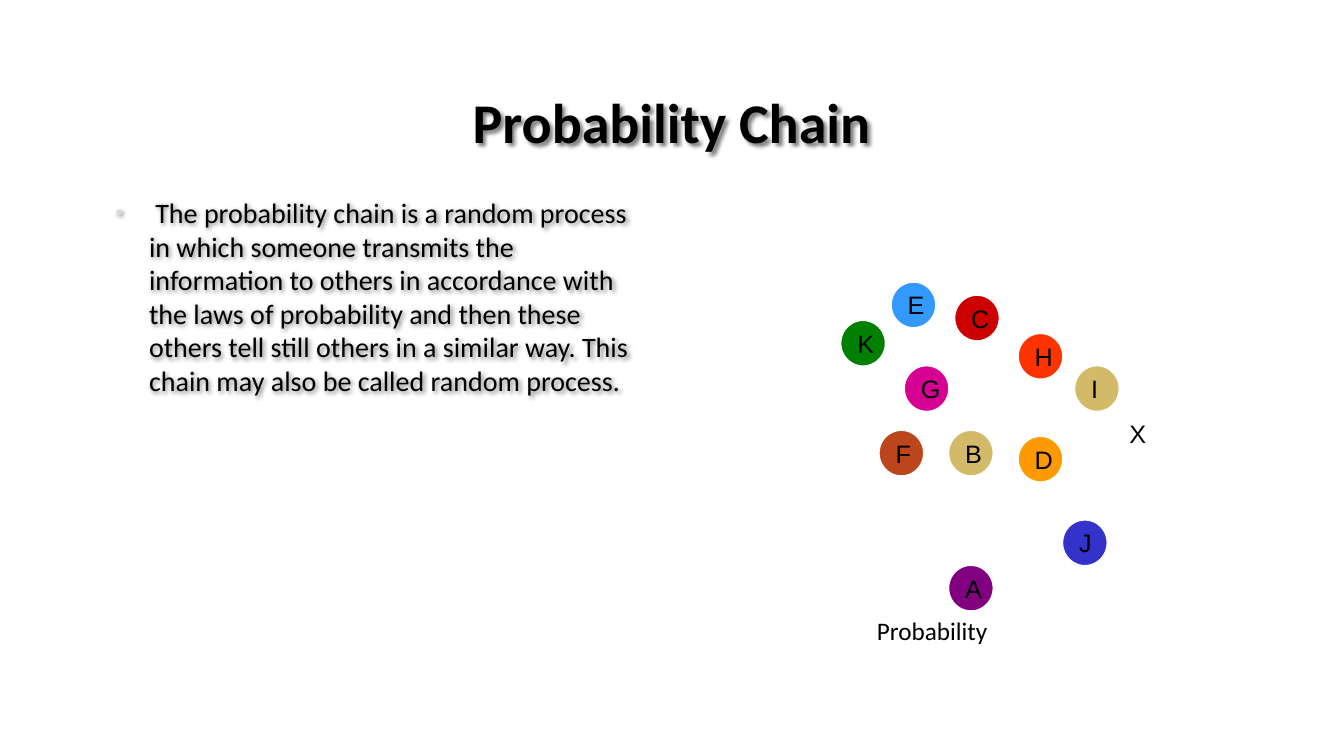
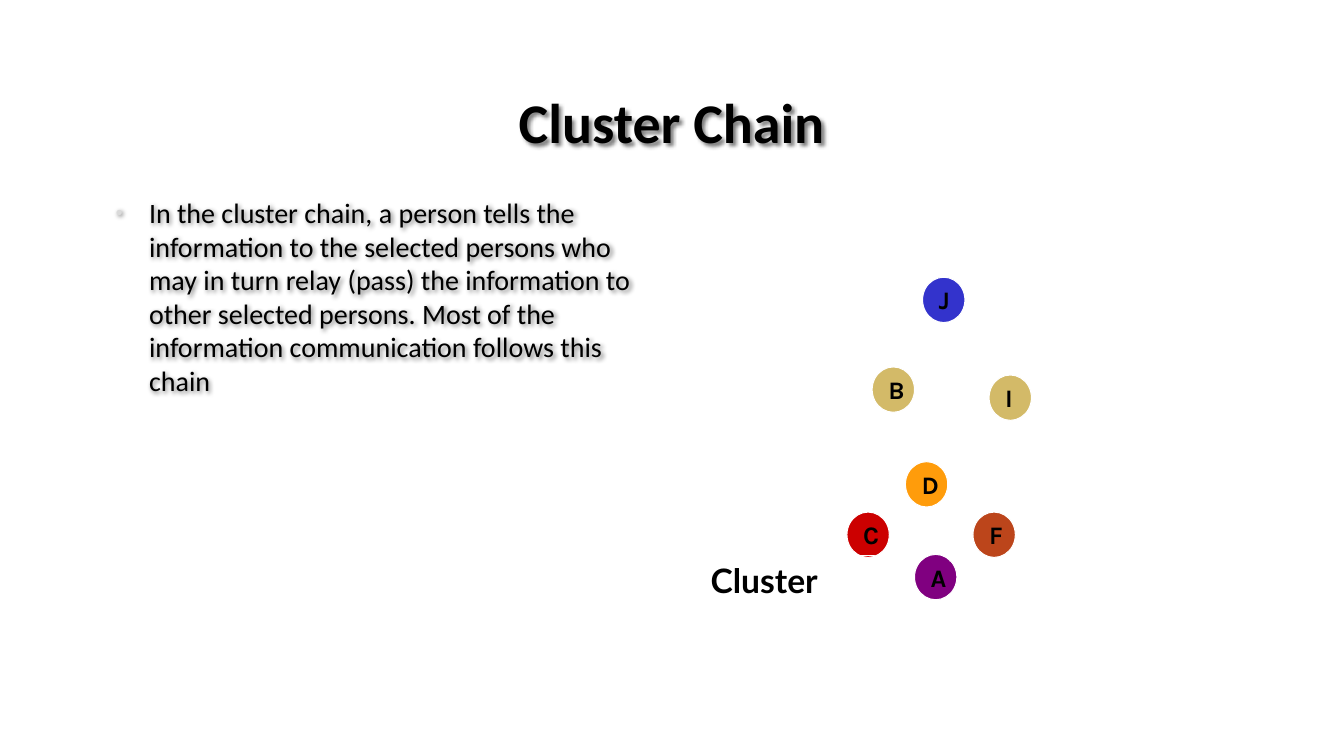
from lxml import etree
from pptx import Presentation
from pptx.dml.color import RGBColor
from pptx.enum.shapes import MSO_CONNECTOR, MSO_SHAPE
from pptx.enum.text import MSO_ANCHOR, PP_ALIGN
from pptx.oxml import parse_xml
from pptx.oxml.ns import nsdecls, qn
from pptx.util import Inches, Pt

OVAL = MSO_SHAPE.OVAL
STRAIGHT = MSO_CONNECTOR.STRAIGHT
MIDDLE, TOP = MSO_ANCHOR.MIDDLE, MSO_ANCHOR.TOP
LEFT, CENTER = PP_ALIGN.LEFT, PP_ALIGN.CENTER

BLACK = RGBColor(0x00, 0x00, 0x00)
WHITE = RGBColor(0xFF, 0xFF, 0xFF)
PURPLE = RGBColor(0x80, 0x00, 0x80)
RUST = RGBColor(0xBC, 0x45, 0x1B)
SAND = RGBColor(0xD3, 0xBA, 0x68)
ORANGE = RGBColor(0xFF, 0x99, 0x00)
AMBER = RGBColor(0xFF, 0x9C, 0x0B)
INDIGO = RGBColor(0x33, 0x33, 0xCC)
SCARLET = RGBColor(0xFF, 0x33, 0x00)
RED = RGBColor(0xCC, 0x00, 0x00)
BLUE = RGBColor(0x33, 0x99, 0xFF)
GREEN = RGBColor(0x00, 0x80, 0x00)
MAGENTA = RGBColor(0xD6, 0x00, 0x93)

TITLE_FONT = {"name": "Calibri", "size": Pt(40), "bold": True}
BODY_FONT = {"name": "Calibri", "size": Pt(20), "bold": False}
LINE_WIDTH = Pt(0.75)
NODE_HEIGHT = 0.45

TEXT_SHADOW = (
    f'<a:effectLst {nsdecls("a")}><a:outerShdw blurRad="38100" dist="25400" dir="2700000">'
    '<a:srgbClr val="000000"><a:alpha val="50000"/></a:srgbClr></a:outerShdw></a:effectLst>'
)
BULLET = (
    ("a:buClr", '<a:srgbClr val="DADADA"/>', ""),
    ("a:buSzPct", "", 'val="70000"'),
    ("a:buFont", "", 'typeface="Arial"'),
    ("a:buChar", "", 'char="•"'),
)

SLIDES = [
    {
        "title": "Probability Chain",
        "body": " The probability chain is a random process in which someone transmits the "
                "information to others in accordance with the laws of probability and then these "
                "others tell still others in a similar way. This chain may also be called random process.",
        "node_width": 0.44,
        "node_font": {"name": "Arial", "size": Pt(18), "bold": False},
        "nodes": [
            ("A", 9.41, 5.61, PURPLE), ("F", 8.72, 4.27, RUST), ("B", 9.41, 4.27, SAND),
            ("D", 10.1, 4.33, ORANGE), ("J", 10.54, 5.16, INDIGO), ("H", 10.1, 3.31, SCARLET),
            ("C", 9.47, 2.93, RED), ("E", 8.84, 2.8, BLUE), ("K", 8.34, 3.18, GREEN),
            ("G", 8.97, 3.63, MAGENTA), ("I", 10.66, 3.63, SAND), ("X", 11.04, 4.08, None),
        ],
        "arrows": [
            (9.47, 5.68, 8.94, 4.72), (9.78, 5.68, 10.32, 4.78), (8.94, 4.27, 9.19, 4.08),
            (8.78, 4.34, 8.56, 3.63), (10.32, 4.33, 10.32, 3.76), (10.54, 4.56, 11.04, 4.3),
        ],
        "label": "Probability",
        "label_area": (8.6, 6.06, 2.96, 0.4),
        "label_font": {"name": "Calibri", "size": Pt(18), "bold": False},
    },
    {
        "title": "Cluster Chain",
        "body": "In the cluster chain, a person tells the information to the selected persons who "
                "may in turn relay (pass) the information to other selected persons. Most of the "
                "information communication follows this chain",
        "node_width": 0.42,
        "node_font": {"name": "Karla", "size": Pt(18), "bold": True},
        "nodes": [
            ("A", 9.07, 5.5, PURPLE), ("C", 8.4, 5.08, RED), ("D", 8.98, 4.58, AMBER),
            ("F", 9.65, 5.08, RUST), ("J", 9.15, 2.75, INDIGO), ("I", 9.81, 3.72, SAND),
            ("B", 8.65, 3.64, SAND),
        ],
        "arrows": [
            (9.13, 5.57, 8.76, 5.46), (9.42, 5.57, 9.65, 5.31), (9.28, 5.5, 9.19, 5.03),
            (9.71, 5.15, 9.01, 4.02), (9.86, 5.08, 10.02, 4.17), (8.86, 3.64, 9.21, 3.13),
        ],
        "label": "Cluster",
        "label_area": (6.95, 5.51, 1.72, 0.51),
        "label_font": {"name": "Lato", "size": Pt(24), "bold": True},
    },
]


def write(shape, text, font, align=LEFT, anchor=TOP, wrap=True):
    frame = shape.text_frame
    frame.word_wrap = wrap
    frame.vertical_anchor = anchor
    para = frame.paragraphs[0]
    para.alignment = align
    span = para.add_run()
    span.text = text
    for key, value in font.items():
        setattr(span.font, key, value)
    span.font.color.rgb = BLACK
    return para


def outline(line):
    line.color.rgb = WHITE
    line.width = LINE_WIDTH


deck = Presentation()
deck.slide_width = Inches(13.33)
deck.slide_height = Inches(7.5)

for content in SLIDES:
    page = deck.slides.add_slide(deck.slide_layouts[6])

    title = page.shapes.add_textbox(Inches(1), Inches(0.67), Inches(11.32), Inches(1.06))
    write(title, content["title"], TITLE_FONT, CENTER, MIDDLE)

    body = page.shapes.add_textbox(Inches(1), Inches(1.89), Inches(5.53), Inches(4.44))
    para = write(body, content["body"], BODY_FONT)
    para.space_after = Pt(6)
    properties = para._p.get_or_add_pPr()
    properties.set("marL", str(Inches(0.38)))
    properties.set("indent", str(Inches(-0.33)))
    for tag, inner, attributes in BULLET:
        properties.append(parse_xml(f'<{tag} {nsdecls("a")} {attributes}>{inner}</{tag}>'))

    for box in (title, body):
        box._element.spPr.append(parse_xml(TEXT_SHADOW))

    for letter, left, top, color in content["nodes"]:
        node = page.shapes.add_shape(
            OVAL, Inches(left), Inches(top), Inches(content["node_width"]), Inches(NODE_HEIGHT))
        node.shadow.inherit = False
        if color is None:
            node.fill.background()
        else:
            node.fill.solid()
            node.fill.fore_color.rgb = color
        outline(node.line)
        write(node, letter, content["node_font"], LEFT, MIDDLE, False)

    for ends in content["arrows"]:
        arrow = page.shapes.add_connector(STRAIGHT, *[Inches(end) for end in ends])
        outline(arrow.line)
        etree.SubElement(arrow.line._get_or_add_ln(), qn("a:tailEnd"), type="triangle")
        etree.SubElement(arrow._element.spPr, qn("a:effectLst"))

    label = page.shapes.add_textbox(*[Inches(length) for length in content["label_area"]])
    outline(label.line)
    write(label, content["label"], content["label_font"])

deck.save("out.pptx")
